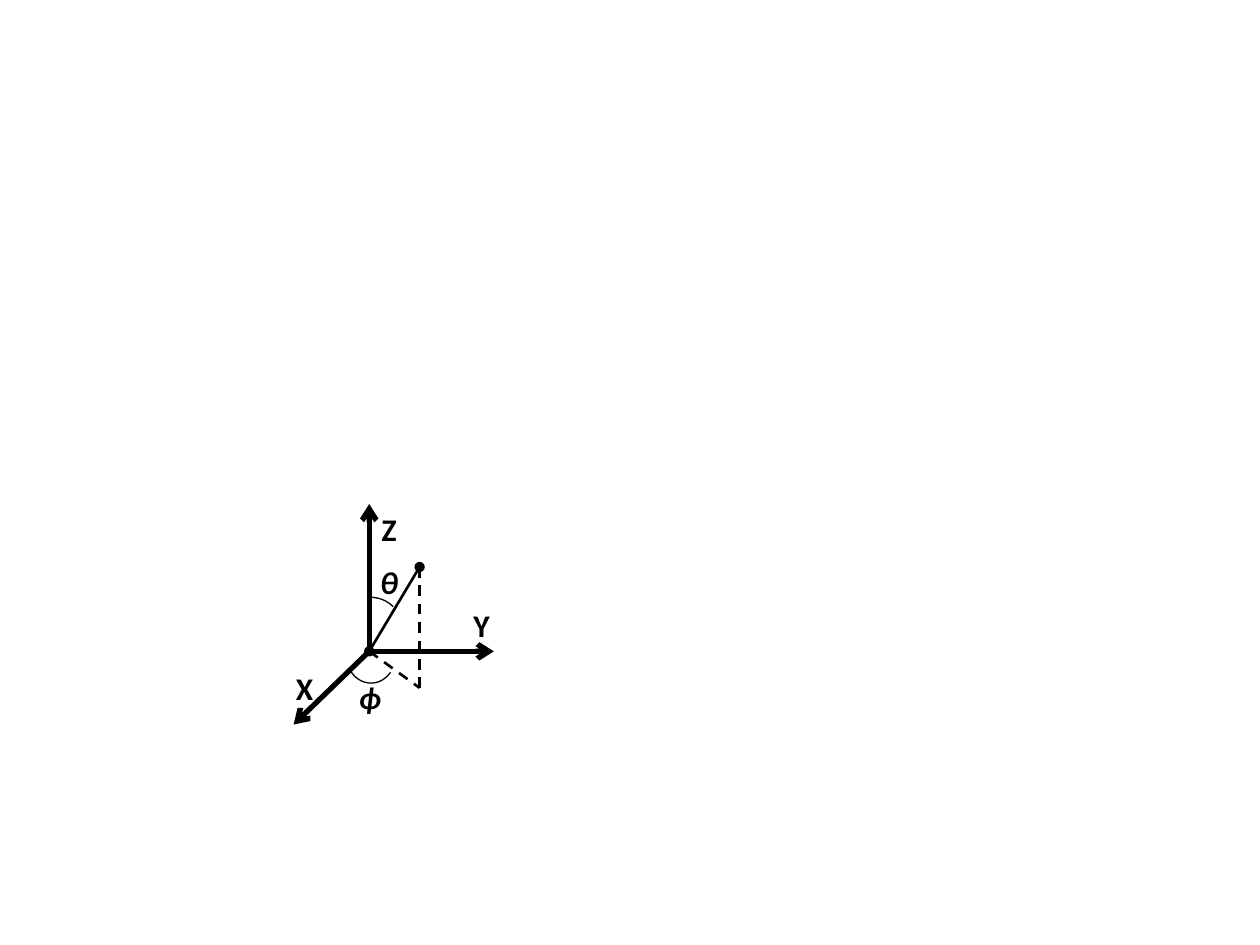
import pptx
import pptx.dml.color
import pptx.enum.dml
import pptx.enum.shapes
import pptx.enum.text
import pptx.oxml.ns
import pptx.util
from lxml import etree

Pt = pptx.util.Pt
BLACK = "000000"


def colour(hex_string):
    return pptx.dml.color.RGBColor.from_string(hex_string)


def add_line(slide, start, end, width, head=None, tail=None, dashed=False):
    line = slide.shapes.add_connector(
        pptx.enum.shapes.MSO_CONNECTOR.STRAIGHT, *map(Pt, start + end))
    line.line.color.rgb = colour(BLACK)
    line.line.width = Pt(width)
    if dashed:
        line.line.dash_style = pptx.enum.dml.MSO_LINE.DASH
    properties = line._element.spPr
    outline = properties.find(pptx.oxml.ns.qn("a:ln"))
    for tag, marker in (("a:headEnd", head), ("a:tailEnd", tail)):
        if marker:
            etree.SubElement(outline, pptx.oxml.ns.qn(tag), type=marker)
    etree.SubElement(properties, pptx.oxml.ns.qn("a:effectLst"))


def add_angle_arc(slide, left, top, width, height, start, end, rotation=0):
    """Draw an arc; start and end are angles in units of 5/3 degree."""
    arc = slide.shapes.add_shape(
        pptx.enum.shapes.MSO_SHAPE.ARC, Pt(left), Pt(top), Pt(width), Pt(height))
    arc.adjustments[0] = start
    arc.adjustments[1] = end
    arc.rotation = rotation
    arc.shadow.inherit = False
    arc.fill.background()
    arc.line.color.rgb = colour(BLACK)
    arc.line.width = Pt(0.75)


def add_label(slide, text, left, top, width, italic=False):
    label = slide.shapes.add_textbox(Pt(left), Pt(top), Pt(width), Pt(29))
    frame = label.text_frame
    frame.word_wrap = False
    frame.auto_size = pptx.enum.text.MSO_AUTO_SIZE.SHAPE_TO_FIT_TEXT
    paragraph = frame.paragraphs[0]
    paragraph.text = text
    font = paragraph.font
    font.name = "Calibri"
    font.size = Pt(18)
    font.bold = True
    font.italic = italic
    font.color.rgb = colour(BLACK)


def add_spherical_axes(slide, left, top):
    """Draw the axes, the point with its projection, and both angles."""
    def at(x, y):
        return (left + x, top + y)

    origin = at(49, 84.2)
    point = at(77.8, 36)
    projection = at(77.8, 105.1)

    for axis_end in (at(120.2, 84.2), at(5.8, 126), at(49, 0)):
        add_line(slide, origin, axis_end, 3, tail="arrow")
    add_line(slide, origin, point, 1.5, head="oval", tail="oval")
    for start in (point, origin):
        add_line(slide, start, projection, 1.5, dashed=True)

    add_label(slide, "θ", *at(48.2, 30.2), 23.8, italic=True)
    add_angle_arc(slide, *at(31.7, 53.3), 35.3, 31, 162, 193.77)
    add_label(slide, "ϕ", *at(36, 95.8), 25.2, italic=True)
    add_angle_arc(slide, *at(36, 71.3), 28, 31, 131.98, 193.77, rotation=180)

    for axis, x, y, width in (("X", 0, 90.7, 24.5), ("Y", 101.5, 54.7, 24.5),
                              ("Z", 49, 0, 23)):
        add_label(slide, axis, *at(x, y), width)


def main():
    presentation = pptx.Presentation()
    presentation.slide_width = Pt(720)
    presentation.slide_height = Pt(540)
    slide = presentation.slides.add_slide(presentation.slide_layouts[6])
    add_spherical_axes(slide, 162, 288)
    presentation.save("out.pptx")


if __name__ == "__main__":
    main()
